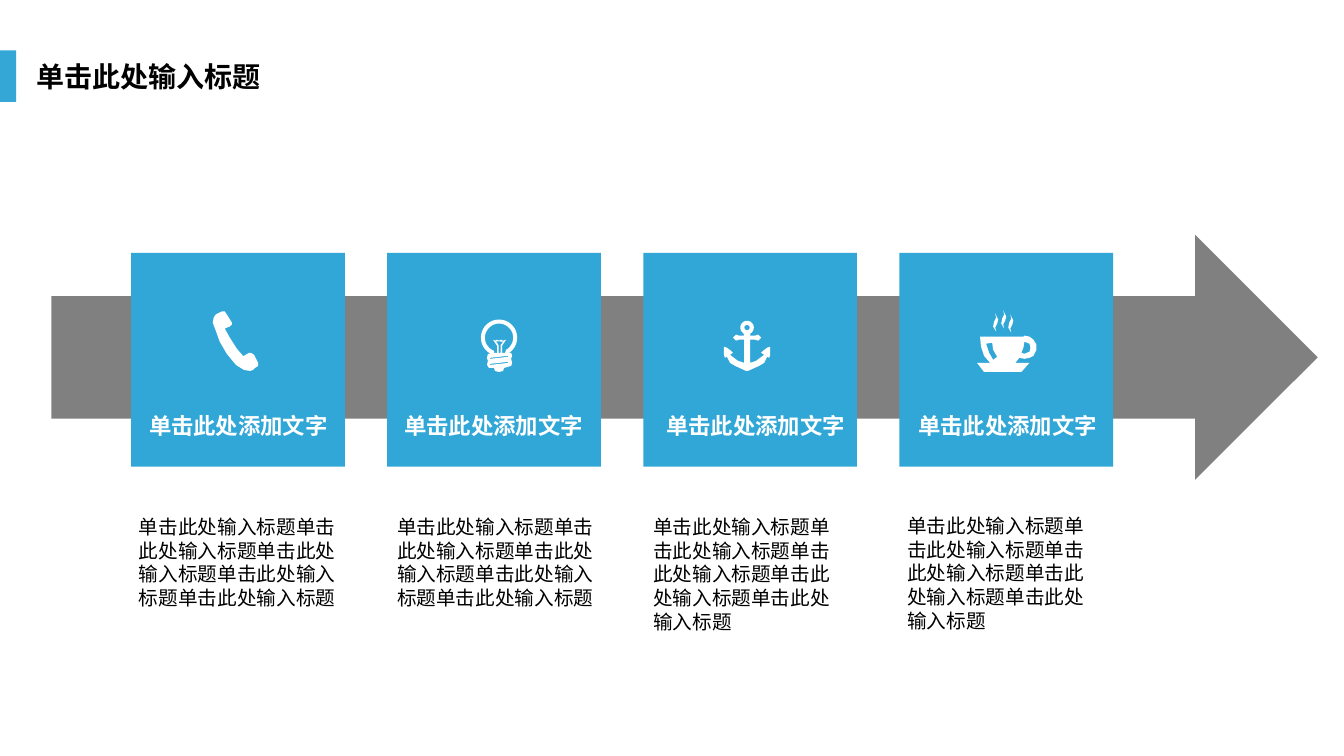
from dataclasses import dataclass
from math import cos, radians, sin

from pptx import Presentation
from pptx.dml.color import RGBColor
from pptx.enum.shapes import MSO_SHAPE as Preset
from pptx.enum.text import MSO_AUTO_SIZE as AutoSize
from pptx.oxml.ns import qn
from pptx.util import Inches, Pt


def arc(cx, cy, radius, start, end, step=10):
    """Points on a circle, angles in degrees clockwise from the right."""
    return [(cx + radius * cos(radians(a)), cy + radius * sin(radians(a)))
            for a in range(start, end + 1, step)]


def mirrored(half, axis):
    """Close a right half with its reflection in a vertical axis."""
    return half + [(2 * axis - x, y) for x, y in reversed(half)]


# Icon contours, in hundredths of an inch; inner contours are holes
PHONE = [
    [(3, 4), (1, 7), (0, 12), (3, 20), (7, 31), (14, 43), (23, 54), (31, 59),
     (37, 60), (40, 59), (42, 57), (45, 55), (45, 52), (41, 44), (38, 42),
     (36, 42), (31, 45), (30, 45), (24, 38), (17, 27), (12, 18), (14, 17),
     (17, 16), (19, 14), (19, 12), (14, 4), (12, 1), (9, 1), (5, 3)],
]
BULB = [
    arc(18, 17, 18, 120, 420) + [
        (27, 32), (30, 32), (31, 35), (30, 38), (31, 42), (30, 45), (23, 47),
        (22, 50), (18, 51), (14, 50), (13, 47), (8, 47), (6, 44), (7, 40),
        (6, 37), (7, 33), (9, 33)],
    arc(18, 17, 14, 120, 420) + [(24, 32), (13, 32), (13, 30)],
    [(12, 19), (14, 20), (16, 19), (18, 20), (20, 19), (22, 20), (25, 19),
     (21, 25), (21, 32), (16, 32), (16, 25)],
    [(15, 20.5), (17.5, 24.5), (17.5, 32), (19.5, 32), (19.5, 24.5), (22, 21)],
    [(9, 37), (27, 35), (27, 36), (9, 38)],
    [(9, 43), (27, 41), (27, 42), (9, 44)],
]
ANCHOR = [
    mirrored(arc(23, 7, 6.7, -90, 60) + [
        (26, 15), (31, 15), (34, 14), (37, 17), (34, 20), (31, 19), (26, 19),
        (26, 42), (32, 40), (40, 34), (37, 32), (39, 30), (43, 27), (46, 26),
        (46, 34), (45, 37), (43, 36), (40, 42), (35, 45), (24, 50)], 23),
    arc(23, 7, 2.6, 0, 350),
]
CUP = [
    [(3, 26), (46, 26), (47, 25), (52, 26), (56, 29), (59, 34), (59, 39),
     (56, 45), (52, 47), (47, 48), (42, 47), (38, 52), (52, 52), (44, 61),
     (7, 61), (0, 52), (13, 52), (7, 45), (4, 36)],
    [(47, 31), (46, 37), (44, 42), (47, 43), (52, 41), (53, 37), (52, 33)],
    [(9, 33), (12, 42), (16, 49), (20, 46), (16, 39), (15, 32)],
] + [
    [(x, y), (x - 3, y - 5), (x - 2, y - 10), (x, y - 14), (x - 1, y - 18),
     (x + 2, y - 12), (x + 1, y - 8), (x - 1, y - 4)]
    for x, y in [(19, 21), (27, 18), (34, 22)]
]

# Content
TITLE = "单击此处输入标题"
CAPTION = "单击此处添加文字"
DETAIL = TITLE * 5
# icon, icon offset in tile, caption offset, detail offset, top and width
STEPS = [
    (PHONE, (0.81, 0.57), 0.08, -0.02, 5.06, 2.17),
    (BULB, (0.93, 0.67), 0.07, 0, 5.06, 2.15),
    (ANCHOR, (0.80, 0.67), 0.13, 0, 5.06, 2.12),
    (CUP, (0.77, 0.57), 0.09, -0.02, 5.05, 2.14),
]


@dataclass(frozen=True)
class Theme:
    font: str = "Noto Sans CJK SC"
    accent: str = "34A7D7"
    tile: str = "31A7D7"
    arrow: str = "808080"
    light: str = "FFFFFF"
    dark: str = "000000"
    title_size: int = 20
    caption_size: int = 16
    detail_size: int = 14
    leading: float = 1.21


THEME = Theme()

# Grid, in inches
SLIDE_W, SLIDE_H = 13.33, 7.5
TILE_LEFT, TILE_TOP, TILE = 1.3, 2.51, 2.12
PITCH = 2.54
CAPTION_TOP = 4.04
UNITS = 1000  # outline units per inch

deck = Presentation()
deck.slide_width, deck.slide_height = Inches(SLIDE_W), Inches(SLIDE_H)
slide = deck.slides.add_slide(deck.slide_layouts[6])


def paint(shape, color):
    shape.shadow.inherit = False
    shape.fill.solid()
    shape.fill.fore_color.rgb = RGBColor.from_string(color)
    shape.line.fill.background()


def add_block(preset, left, top, width, height, color):
    box = map(Inches, (left, top, width, height))
    paint(slide.shapes.add_shape(preset, *box), color)


def add_text(text, left, top, width, height, *, size, color, bold=False):
    box = slide.shapes.add_textbox(*map(Inches, (left, top, width, height)))
    frame = box.text_frame
    frame.word_wrap = True
    frame.auto_size = AutoSize.SHAPE_TO_FIT_TEXT
    paragraph = frame.paragraphs[0]
    paragraph.line_spacing = Pt(round(size * THEME.leading, 1))
    run = paragraph.add_run()
    run.text = text
    font = run.font
    font.name, font.size, font.bold = THEME.font, Pt(size), bold
    font.color.rgb = RGBColor.from_string(color)
    east_asian = run._r.get_or_add_rPr().makeelement(qn("a:ea"), {"typeface": THEME.font})
    run._r.rPr.find(qn("a:latin")).addnext(east_asian)


def add_icon(contours, left, top):
    scaled = [[(x * UNITS / 100, y * UNITS / 100) for x, y in contour]
              for contour in contours]
    outline = slide.shapes.build_freeform(*scaled[0][0], scale=Inches(1) / UNITS)
    for index, (start, *rest) in enumerate(scaled):
        if index:
            outline.move_to(*start)
        outline.add_line_segments(rest, close=True)
    paint(outline.convert_to_shape(Inches(left), Inches(top)), THEME.light)


# Heading
add_block(Preset.RECTANGLE, 0, 0.5, 0.16, 0.51, THEME.accent)
add_text(TITLE, 0.26, 0.54, 3.38, 0.44,
         size=THEME.title_size, color=THEME.dark, bold=True)

# Arrow behind the steps
add_block(Preset.RIGHT_ARROW, 0.51, 2.33, 12.56, 2.43, THEME.arrow)

# Steps
for number, (icon, (icon_x, icon_y), caption_x, detail_x,
             detail_top, detail_width) in enumerate(STEPS):
    left = TILE_LEFT + number * PITCH
    add_block(Preset.RECTANGLE, left, TILE_TOP, TILE, TILE, THEME.tile)
    add_icon(icon, left + icon_x, TILE_TOP + icon_y)
    add_text(CAPTION, left + caption_x, CAPTION_TOP, 2.07, 0.37,
             size=THEME.caption_size, color=THEME.light, bold=True)
    add_text(DETAIL, left + detail_x, detail_top, detail_width, 1.04,
             size=THEME.detail_size, color=THEME.dark)

deck.save("out.pptx")
